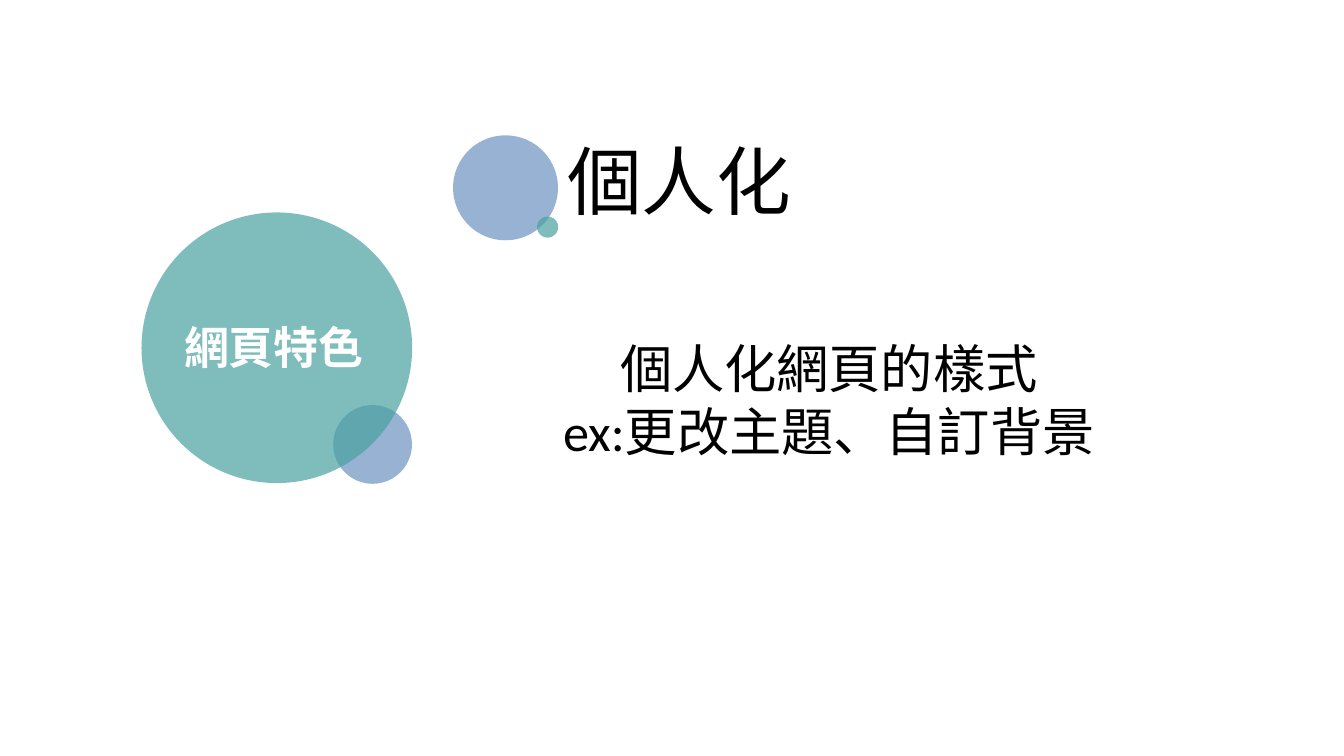
from lxml.etree import SubElement
from pptx import Presentation
from pptx.dml.color import RGBColor
from pptx.enum.shapes import MSO_SHAPE as Shape
from pptx.enum.text import MSO_AUTO_SIZE as AutoSize, PP_ALIGN as Align
from pptx.oxml.ns import qn
from pptx.util import Pt

COLORS = {"teal": "48A2A0", "blue": "6C92C0", "black": "000000", "white": "FFFFFF"}


class SlideBuilder:
    """Holds the style and the current slide."""

    opacity = 70
    inset_x, inset_y = 5.04, 2.88

    def __init__(self, page):
        """Start drawing on the given page."""
        self.page = page

    def circle(self, left, top, diameter, color):
        """Add a translucent circle without an outline."""
        circle = self.page.shapes.add_shape(
            Shape.OVAL, Pt(left), Pt(top), Pt(diameter), Pt(diameter))
        circle.shadow.inherit = False
        circle.line.fill.background()
        circle.fill.solid()
        circle.fill.fore_color.rgb = RGBColor.from_string(COLORS[color])
        tint = circle._element.spPr.find(qn("a:solidFill"))[0]
        SubElement(tint, qn("a:alpha"), val=str(self.opacity * 1000))

    def text(self, left, top, width, height, words, size, font="Calibri",
             color="black", bold=False, align=Align.LEFT, grow=True):
        """Add a text box with one paragraph for each line of words."""
        box = self.page.shapes.add_textbox(Pt(left), Pt(top), Pt(width), Pt(height))
        frame = box.text_frame
        frame.word_wrap = True
        frame.auto_size = AutoSize.SHAPE_TO_FIT_TEXT if grow else AutoSize.NONE
        frame.margin_left = frame.margin_right = Pt(self.inset_x)
        frame.margin_top = frame.margin_bottom = Pt(self.inset_y)
        frame.text = words
        for paragraph in frame.paragraphs:
            paragraph.alignment = align
            for span in paragraph.runs:
                span.font.name = font
                span.font.size = Pt(size)
                span.font.bold = bold
                span.font.color.rgb = RGBColor.from_string(COLORS[color])


def main():
    """Build the slide and save the deck."""
    deck = Presentation()
    deck.slide_width, deck.slide_height = Pt(720), Pt(405)
    builder = SlideBuilder(deck.slides.add_slide(deck.slide_layouts[6]))

    builder.circle(178.5, 217, 42.2, "blue")
    builder.text(298.8, 69.1, 154, 54, "個人化", 40)
    builder.text(229, 177.1, 430, 73.4, "個人化網頁的樣式\nex:更改主題、自訂背景", 28,
                 align=Align.CENTER)
    builder.circle(75.8, 113.8, 145, "teal")
    builder.text(93.6, 168.5, 233.3, 50.4, "網頁特色", 24, font="Arial",
                 color="white", bold=True, grow=False)
    builder.circle(242.7, 72.5, 56.2, "blue")
    builder.circle(287.7, 116, 11.3, "teal")

    deck.save("out.pptx")


main()
